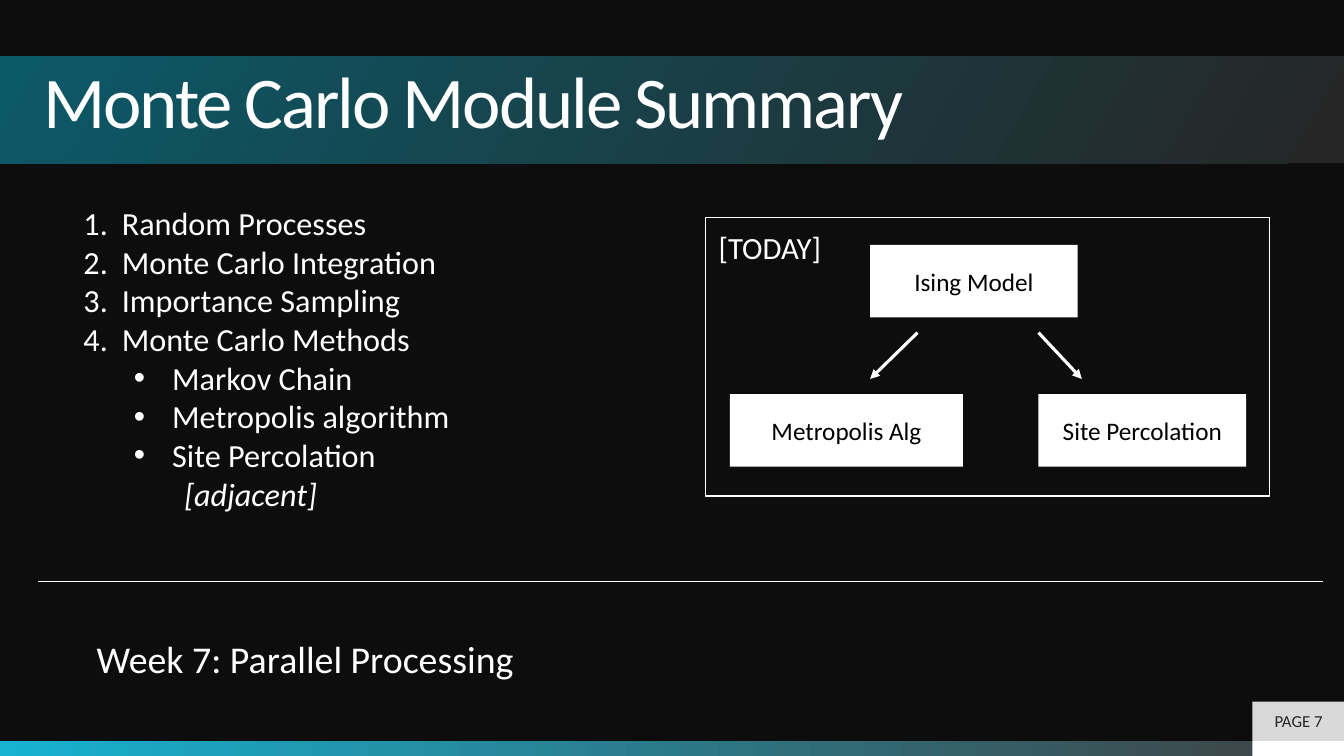
from lxml import etree
from pptx import Presentation
from pptx.dml.color import RGBColor
from pptx.enum.shapes import MSO_CONNECTOR, MSO_SHAPE
from pptx.enum.text import MSO_ANCHOR, PP_ALIGN
from pptx.oxml.ns import qn
from pptx.util import Inches, Pt

RECT = MSO_SHAPE.RECTANGLE
STRAIGHT = MSO_CONNECTOR.STRAIGHT
MIDDLE = MSO_ANCHOR.MIDDLE
LEFT, CENTER = PP_ALIGN.LEFT, PP_ALIGN.CENTER

FONT = "Calibri"
WHITE, BLACK, DARK = "FFFFFF", "000000", "262626"

NUMBERED = ("buAutoNum", {"type": "arabicPeriod"})
BULLETED = ("buChar", {"char": "•"})
TOPICS = [
    ("Random Processes", 0),
    ("Monte Carlo Integration", 0),
    ("Importance Sampling", 0),
    ("Monte Carlo Methods", 0),
    ("Markov Chain", 1),
    ("Metropolis algorithm", 1),
    ("Site Percolation", 1),
    ("[adjacent]", 2),
]
# Left margin, first-line indent and marker of each list level
LEVELS = [(0.38, -0.38, NUMBERED), (0.88, -0.38, BULLETED), (1, 0, None)]


def rgb(color):
    return RGBColor.from_string(color)


def style(paragraph, size, color, align=LEFT):
    paragraph.alignment = align
    for run in paragraph.runs:
        run.font.name = FONT
        run.font.size = Pt(size)
        run.font.color.rgb = rgb(color)


def add_box(slide, left, top, width, height, fill=None, border=None):
    box = slide.shapes.add_shape(
        RECT, Inches(left), Inches(top), Inches(width), Inches(height))
    box.shadow.inherit = False
    if fill:
        box.fill.solid()
        box.fill.fore_color.rgb = rgb(fill)
    else:
        box.fill.background()
    if border:
        box.line.color.rgb = rgb(border)
        box.line.width = Pt(1)
    else:
        box.line.fill.background()
    return box


def add_gradient_band(slide, top, height, stops, angle):
    band = add_box(slide, 0, top, 13.33, height)
    band.fill.gradient()
    band.fill.gradient_angle = angle
    for stop, (position, color) in zip(band.fill.gradient_stops, stops):
        stop.position = position
        stop.color.rgb = rgb(color)
    return band


def add_label_box(slide, left, top, width, height, text, size, fill, color):
    box = add_box(slide, left, top, width, height, fill)
    frame = box.text_frame
    frame.text = text
    frame.vertical_anchor = MIDDLE
    style(frame.paragraphs[0], size, color, CENTER)
    return box


def add_text(slide, left, top, width, height, lines, size):
    box = slide.shapes.add_textbox(
        Inches(left), Inches(top), Inches(width), Inches(height))
    frame = box.text_frame
    frame.word_wrap = False
    frame.text = "\n".join(lines)
    for paragraph in frame.paragraphs:
        style(paragraph, size, WHITE)
    return frame


def add_line(slide, x1, y1, x2, y2, width, arrow=False):
    line = slide.shapes.add_connector(
        STRAIGHT, Inches(x1), Inches(y1), Inches(x2), Inches(y2))
    line.line.color.rgb = rgb(WHITE)
    line.line.width = Pt(width)
    if arrow:
        outline = line.line._get_or_add_ln()
        etree.SubElement(outline, qn("a:tailEnd"), type="triangle")
    etree.SubElement(line._element.spPr, qn("a:effectLst"))


def add_title(slide):
    stops = [(0.01, DARK), (1, "0C5968")]
    frame = add_gradient_band(slide, 0.56, 1.06, stops, 150).text_frame
    frame.text = "Monte Carlo Module Summary"
    frame.vertical_anchor = MIDDLE
    frame.margin_left = frame.margin_right = Inches(0.43)
    title = frame.paragraphs[0]
    title.line_spacing = 0.7
    style(title, 52, WHITE)
    title.runs[0].font._element.set("spc", "-150")


def add_topics(slide):
    frame = add_text(slide, 0.73, 1.97, 3.86, 3.58,
                     [text for text, _ in TOPICS], 23)
    for paragraph, (_, level) in zip(frame.paragraphs, TOPICS):
        margin, indent, marker = LEVELS[level]
        paragraph.level = level
        properties = paragraph._p.get_or_add_pPr()
        properties.set("marL", str(Inches(margin)))
        properties.set("indent", str(Inches(indent)))
        if marker:
            tag, attributes = marker
            etree.SubElement(properties, qn("a:buFont"), typeface="Arial")
            etree.SubElement(properties, qn("a:" + tag), attributes)
        else:
            paragraph.runs[0].font.italic = True


def add_today_diagram(slide):
    for left, top, width, text in [
        (8.63, 2.43, 2.06, "Ising Model"),
        (7.24, 3.91, 2.31, "Metropolis Alg"),
        (10.3, 3.91, 2.06, "Site Percolation"),
    ]:
        add_label_box(slide, left, top, width, 0.72, text, 18, WHITE, BLACK)
    for start, end in [(9.1, 8.63), (10.3, 10.73)]:
        add_line(slide, start, 3.3, end, 3.76, 2.25, arrow=True)
    add_box(slide, 7, 2.16, 5.59, 2.76, border=WHITE)
    add_text(slide, 7.03, 2.22, 1.23, 0.47, ["[TODAY]"], 22)


def main():
    deck = Presentation()
    deck.slide_width, deck.slide_height = Inches(13.33), Inches(7.5)
    slide = deck.slides.add_slide(deck.slide_layouts[6])
    slide.background.fill.solid()
    slide.background.fill.fore_color.rgb = rgb("0D0D0D")

    # Footer band, title and page tag
    add_gradient_band(slide, 7.35, 0.15, [(0, "17B2D1"), (1, "404040")], 0)
    add_box(slide, 12.42, 7.35, 0.92, 0.15, WHITE)
    add_title(slide)
    page = add_label_box(slide, 12.42, 6.96, 0.92, 0.39, "PAGE 7", 12,
                         "D9D9D9", DARK)
    page.text_frame.paragraphs[0].space_after = Pt(6)

    # Module topics and today's diagram
    add_today_diagram(slide)
    add_topics(slide)

    # Next week
    add_line(slide, 0.38, 5.77, 13.12, 5.77, 0.5)
    add_text(slide, 0.86, 6.26, 4.37, 0.56, ["Week 7: Parallel Processing"], 27)

    deck.save("out.pptx")


if __name__ == "__main__":
    main()
